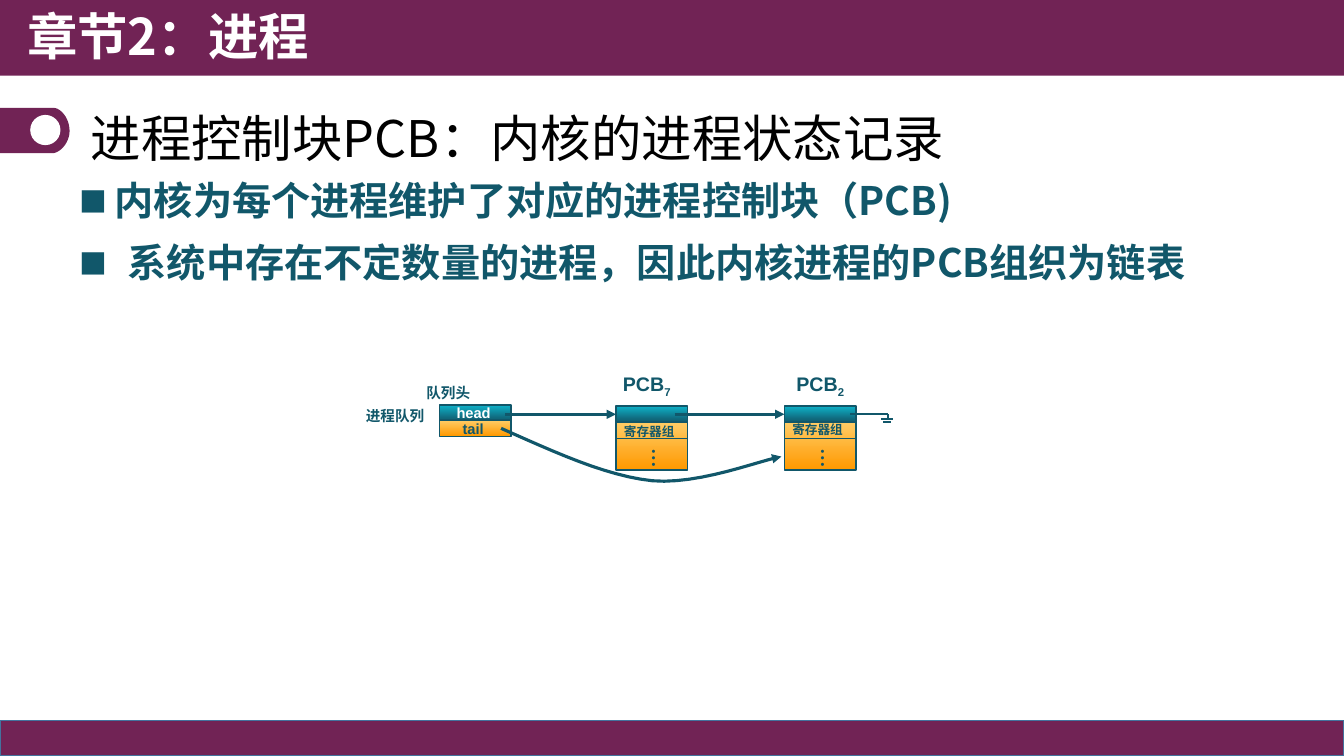
from pptx import Presentation
from pptx import util as u
from pptx.dml.color import RGBColor
from pptx.enum import shapes, text
from pptx.oxml.ns import qn
from lxml import etree

COLORS = {"plum": "712355", "edge": "43739E", "teal": "11576A", "cyan": "0EB1C8",
          "sand": "FFCC66", "orange": "FF9900", "white": "FFFFFF", "black": "000000"}
CJK, SYMBOL, LATIN = "Noto Sans CJK SC", "Noto Sans CJK JP", "Arial"

CHAPTER = "章节2：进程"
HEADING = "进程控制块PCB：内核的进程状态记录"
POINTS = [("内核为每个进程维护了对应的进程控制块（PCB)", 0.35, 0),
          ("系统中存在不定数量的进程，因此内核进程的PCB组织为链表", 0.48, 11)]
QUEUE_LABELS = [("队列头", (4.13, 3.59, 0.72, 0.3), None),
                ("进程队列", (3.53, 4.02, 0.88, 0.25), u.Pt(10))]
QUEUE_CELLS = [("head", 4.02, ("cyan", "teal"), "white", (4.43, 3.96, 0.61, 0.28)),
               ("tail", 4.17, ("sand", "orange"), "teal", (4.49, 4.12, 0.47, 0.28))]
BLOCKS = [("7", 6.11, 6.08, 4.16), ("2", 7.78, 7.8, 4.14)]
REGISTERS, MORE = "寄存器组", "…"
GROUND = [((8.43, 4.11), (8.81, 4.11)), ((8.81, 4.11), (8.81, 4.16)),
          ((8.74, 4.16), (8.86, 4.16)), ((8.76, 4.19), (8.84, 4.19))]
TAIL_CURVES = [((4.97, 4.25), (5.49, 4.48), (6, 4.72), (6.47, 4.77)),
               ((6.47, 4.77), (6.93, 4.81), (7.53, 4.57), (7.75, 4.53))]
TAB_CURVES = [((0.53, 1.07), (0.6, 1.07), (0.69, 1.17), (0.69, 1.3)),
              ((0.69, 1.3), (0.69, 1.42), (0.59, 1.52), (0.52, 1.52))]
CELL_W, ROW_H, BODY_H = 0.71, 0.16, 0.47
BLOCK_TOP = 4.03

prs = Presentation()
prs.slide_width, prs.slide_height = u.Inches(13.33), u.Inches(7.5)
slide = prs.slides.add_slide(prs.slide_layouts[5])


def rgb(color):
    return RGBColor.from_string(COLORS[color])


def inches(values):
    return [u.Inches(v) for v in values]


def set_run(paragraph, words, size, color, font=CJK, bold=True, baseline=None):
    run = paragraph.add_run()
    run.text = words
    for key, value in {"size": u.Pt(size), "bold": bold, "name": font}.items():
        setattr(run.font, key, value)
    run.font.color.rgb = rgb(color)
    props = run.font._element
    east_asian = CJK if font == LATIN else font
    etree.SubElement(props, qn("a:ea")).set("typeface", east_asian)
    if baseline:
        props.set("baseline", str(baseline))


def add_text(box, words, size, color, wrap=False, spacing=None, **style):
    frame = slide.shapes.add_textbox(*inches(box)).text_frame
    frame.word_wrap = wrap
    paragraph = frame.paragraphs[0]
    if spacing:
        paragraph.line_spacing = spacing
    set_run(paragraph, words, size, color, **style)
    return frame


def paint(shape, fill, line=None, width=1.25):
    shape.shadow.inherit = False
    if isinstance(fill, tuple):
        shape.fill.gradient()
        shape.fill.gradient_angle = 270
        for stop, color in zip(shape.fill.gradient_stops, fill):
            stop.color.rgb = rgb(color)
    elif fill:
        shape.fill.solid()
        shape.fill.fore_color.rgb = rgb(fill)
    else:
        shape.fill.background()
    if line:
        shape.line.color.rgb = rgb(line)
        shape.line.width = u.Pt(width)
    else:
        shape.line.fill.background()


def add_box(box, fill, line=None, width=1.25, kind=shapes.MSO_SHAPE.RECTANGLE):
    shape = slide.shapes.add_shape(kind, *inches(box))
    paint(shape, fill, line, width)
    return shape


def add_arrowhead(shape):
    etree.SubElement(shape.line._get_or_add_ln(), qn("a:tailEnd")).set("type", "triangle")


def add_line(start, end, width):
    line = slide.shapes.add_connector(shapes.MSO_CONNECTOR.STRAIGHT, *inches(start + end))
    line.line.color.rgb = rgb("teal")
    line.line.width = u.Pt(width)
    etree.SubElement(line._element.spPr, qn("a:effectLst"))
    return line


def curve_points(curves, steps=12):
    points = [curves[0][0]]
    for a, b, c, d in curves:
        for t in (i / steps for i in range(1, steps + 1)):
            s = 1 - t
            points.append(tuple(s**3 * p + 3 * s * s * t * q + 3 * s * t * t * r + t**3 * e
                                for p, q, r, e in zip(a, b, c, d)))
    return points


def add_outline(points, close):
    start, *rest = [tuple(inches(point)) for point in points]
    builder = slide.shapes.build_freeform(*start, scale=1.0)
    builder.add_line_segments(rest, close=close)
    return builder.convert_to_shape()


def add_points():
    frame = slide.shapes.add_textbox(*inches((0.69, 1.7, 11.6, 1.35))).text_frame
    frame.word_wrap = True
    for i, (words, indent, before) in enumerate(POINTS):
        paragraph = frame.add_paragraph() if i else frame.paragraphs[0]
        if before:
            paragraph.space_before = u.Pt(before)
        props = paragraph._p.get_or_add_pPr()
        props.set("marL", str(u.Inches(indent)))
        props.set("indent", str(-u.Inches(indent)))
        for tag, key, value in (("a:buSzPct", "val", "71000"),
                                ("a:buFont", "typeface", SYMBOL), ("a:buChar", "char", "■")):
            etree.SubElement(props, qn(tag)).set(key, value)
        set_run(paragraph, words, 28, "teal")


def add_block(number, left, name_left, registers_top):
    header = add_box((left, BLOCK_TOP, CELL_W, ROW_H), ("cyan", "teal"), "teal")
    body_top = BLOCK_TOP + ROW_H
    add_box((left, body_top, CELL_W, BODY_H), ("sand", "orange"), "teal")
    divider = body_top + ROW_H
    add_line((left, divider), (left + CELL_W, divider), 1.25)
    add_text((left - 0.02, registers_top, 0.72, 0.25), REGISTERS, 9, "teal", font=LATIN)
    more = add_text((left + 0.14, divider, 0.41, 0.34), MORE, 14, "teal", font=SYMBOL)
    more._txBody.bodyPr.set("vert", "eaVert")
    name = add_text((name_left, 3.64, 0.73, 0.34), "PCB", 14, "teal", font=LATIN)
    set_run(name.paragraphs[0], number, 14, "teal", font=LATIN, baseline=-25000)
    return header


def add_heading():
    title = slide.shapes.title
    box = dict(zip(("left", "top", "width", "height"), inches((0.8, 0.87, 10, 0.85))))
    for key, value in box.items():
        setattr(title, key, value)
    frame = title.text_frame
    for key, value in {"auto_size": text.MSO_AUTO_SIZE.NONE, "word_wrap": True,
                       "vertical_anchor": text.MSO_ANCHOR.BOTTOM}.items():
        setattr(frame, key, value)
    paragraph = frame.paragraphs[0]
    paragraph.alignment = text.PP_ALIGN.LEFT
    paragraph.line_spacing = 0.9
    set_run(paragraph, HEADING, 36, "black", bold=False)


def main():
    add_box((0, 7.15, 13.33, 0.35), "plum", "edge", 1)
    add_box((0, 0, 13.33, 0.75), "plum")
    add_text((0.17, 0, 6.67, 0.77), CHAPTER, 36, "white", wrap=True)
    add_heading()
    paint(add_outline([(0, 1.07)] + curve_points(TAB_CURVES) + [(0, 1.52)], True), "plum")
    add_box((0.3, 1.14, 0.3, 0.3), "white", kind=shapes.MSO_SHAPE.OVAL)
    add_points()

    for words, top, fill, color, label in QUEUE_CELLS:
        add_box((4.36, top, CELL_W, ROW_H), fill, "teal")
        add_text(label, words, 10.5, color, font=LATIN)
    for words, box, spacing in QUEUE_LABELS:
        add_text(box, words, 18, "teal", font=LATIN, spacing=spacing, baseline=-25000)

    headers = [add_block(*block) for block in BLOCKS]
    link_y = BLOCK_TOP + ROW_H / 2
    for start, header, block in zip((5.01, 6.69), headers, BLOCKS):
        link = add_line((start, link_y), (block[1], link_y), 2.25)
        link.end_connect(header, 1)
        add_arrowhead(link)
    for start, end in GROUND:
        add_line(start, end, 1.5)
    tail_link = add_outline(curve_points(TAIL_CURVES), False)
    paint(tail_link, None, "teal", 2.25)
    add_arrowhead(tail_link)
    prs.save("out.pptx")


if __name__ == "__main__":
    main()
